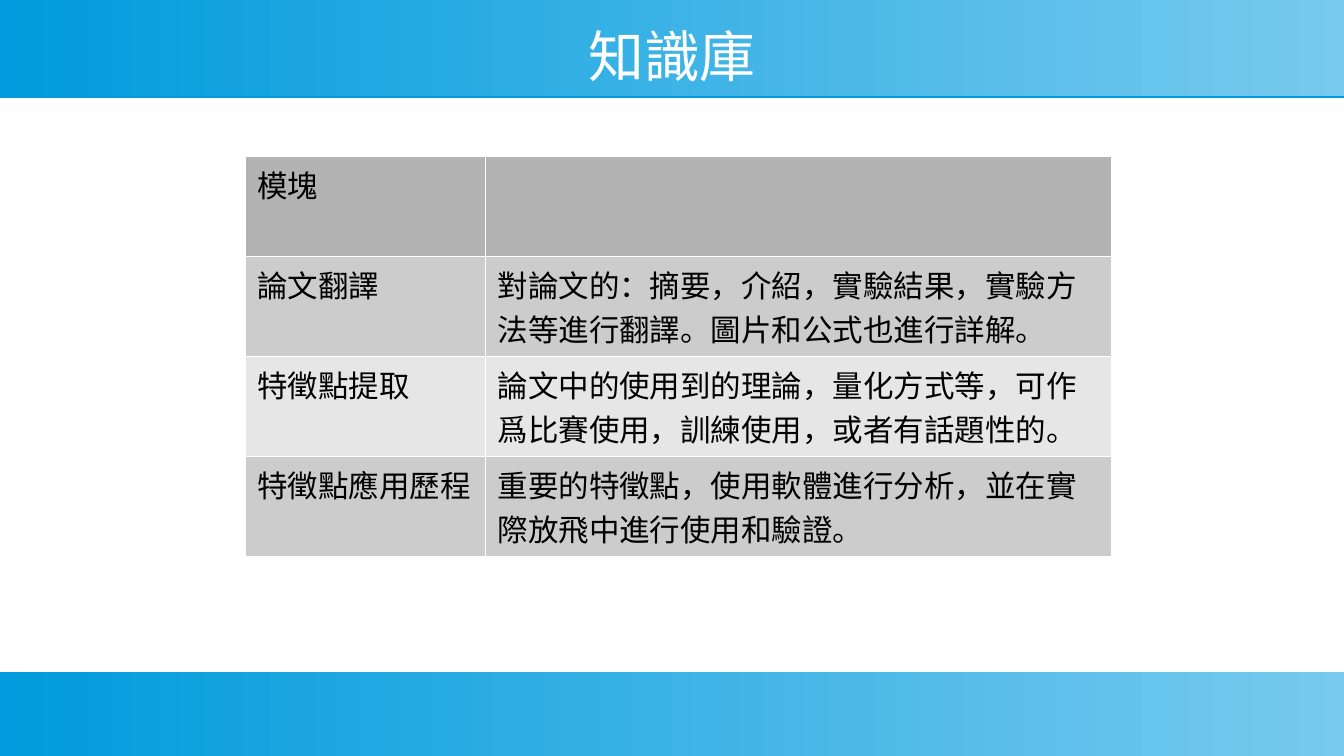
from dataclasses import dataclass

from lxml.etree import SubElement
from pptx import Presentation
from pptx.dml.color import RGBColor
from pptx.enum.shapes import MSO_SHAPE
from pptx.enum.text import MSO_ANCHOR, PP_ALIGN
from pptx.oxml.ns import qn
from pptx.util import Inches, Pt


@dataclass(frozen=True)
class Theme:
    font: str = "Arial"
    title_size: int = 33
    body_size: int = 18
    deep_blue: str = "009BDD"
    light_blue: str = "77CAEE"
    white: str = "FFFFFF"
    black: str = "000000"
    header: str = "B3B3B3"
    bands: tuple = ("CCCCCC", "E6E6E6")
    border: float = 0.06


WIDTH, HEIGHT = 11.02, 6.2
COLUMNS = (1.97, 5.13)
ROW_HEIGHT = 0.82
MODULES = (
    ("模塊", ""),
    ("論文翻譯", "對論文的：摘要，介紹，實驗結果，實驗方法等進行翻譯。圖片和公式也進行詳解。"),
    ("特徵點提取", "論文中的使用到的理論，量化方式等，可作爲比賽使用，訓練使用，或者有話題性的。"),
    ("特徵點應用歷程", "重要的特徵點，使用軟體進行分析，並在實際放飛中進行使用和驗證。"),
)


def write(tf, text, *, font, size, color, align=PP_ALIGN.LEFT):
    p = tf.paragraphs[0]
    p.alignment = align
    p.font.size = Pt(size)
    if text:
        r = p.add_run()
        r.text = text
        r.font.name = font
        r.font.size = Pt(size)
        r.font.bold = False
        r.font.color.rgb = RGBColor.from_string(color)


class Deck:
    def __init__(self, prs, theme):
        self.theme = theme
        self.s = prs.slides.add_slide(prs.slide_layouts[6])

    def band(self, top, height):
        t = self.theme
        sp = self.s.shapes.add_shape(
            MSO_SHAPE.RECTANGLE, 0, Inches(top), Inches(WIDTH), Inches(height))
        sp.line.fill.background()
        sp.fill.gradient()
        sp.fill.gradient_angle = 0
        for stop, color in zip(sp.fill.gradient_stops, (t.deep_blue, t.light_blue)):
            stop.color.rgb = RGBColor.from_string(color)
        sp.shadow.inherit = False
        effects = sp.element.spPr.find(qn("a:effectLst"))
        shadow = SubElement(effects, qn("a:outerShdw"), blurRad="0",
                            dist=str(Pt(0.9)), dir="5400000", rotWithShape="0")
        SubElement(shadow, qn("a:srgbClr"), val=t.deep_blue)

    def title(self, text, left, top, width, height):
        t = self.theme
        sp = self.s.shapes.add_textbox(
            Inches(left), Inches(top), Inches(width), Inches(height))
        tf = sp.text_frame
        tf.word_wrap = True
        tf.vertical_anchor = MSO_ANCHOR.MIDDLE
        tf.margin_left = tf.margin_right = tf.margin_top = tf.margin_bottom = 0
        write(tf, text, font=t.font, size=t.title_size, color=t.white,
              align=PP_ALIGN.CENTER)

    def table(self, rows, left, top):
        t = self.theme
        table = self.s.shapes.add_table(
            len(rows), len(COLUMNS), Inches(left), Inches(top),
            Inches(sum(COLUMNS)), Inches(ROW_HEIGHT * len(rows))).table
        table.first_row = table.horz_banding = False
        for column, width in zip(table.columns, COLUMNS):
            column.width = Inches(width)
        for i, texts in enumerate(rows):
            table.rows[i].height = Inches(ROW_HEIGHT)
            fill = t.bands[(i - 1) % 2] if i else t.header
            for j, text in enumerate(texts):
                self.cell(table.cell(i, j), text, fill)

    def cell(self, cell, text, fill):
        t = self.theme
        write(cell.text_frame, text, font=t.font, size=t.body_size, color=t.black)
        tcPr = cell._tc.get_or_add_tcPr()
        for side in ("lnL", "lnR", "lnT", "lnB"):
            ln = SubElement(tcPr, qn(f"a:{side}"), w=str(Pt(t.border)))
            SubElement(SubElement(ln, qn("a:solidFill")), qn("a:srgbClr"), val=t.white)
        cell.fill.solid()
        cell.fill.fore_color.rgb = RGBColor.from_string(fill)


def main():
    prs = Presentation()
    prs.slide_width, prs.slide_height = Inches(WIDTH), Inches(HEIGHT)
    deck = Deck(prs, Theme())
    deck.band(0, 0.79)
    deck.band(5.51, 0.69)
    deck.title("知識庫", 0.39, 0.19, 10.24, 0.53)
    deck.table(MODULES, 2.01, 1.28)
    prs.save("out.pptx")


if __name__ == "__main__":
    main()
